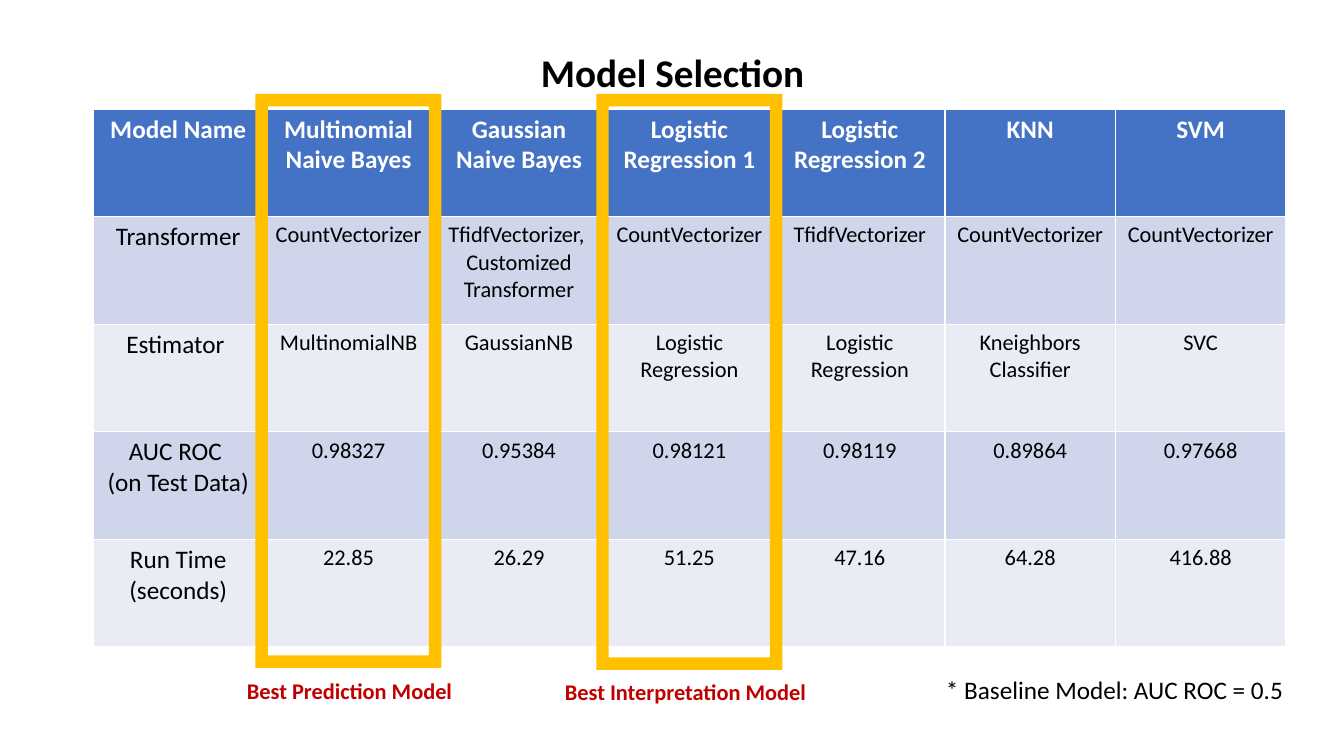
from pptx import Presentation
from pptx.dml.color import RGBColor
from pptx.enum.shapes import MSO_SHAPE
from pptx.enum.text import MSO_ANCHOR, MSO_AUTO_SIZE, PP_ALIGN
from pptx.util import Pt

TITLE = "Model Selection"
MODELS = [
    ["Model Name", "Multinomial Naive Bayes", "Gaussian Naive Bayes", "Logistic Regression 1",
     "Logistic Regression 2", "KNN", "SVM"],
    ["Transformer", "CountVectorizer", "TfidfVectorizer, \nCustomized Transformer",
     "CountVectorizer", "TfidfVectorizer", "CountVectorizer", "CountVectorizer"],
    ["Estimator ", "MultinomialNB", "GaussianNB", "Logistic\nRegression",
     "Logistic\nRegression", "Kneighbors\nClassifier", "SVC"],
    ["AUC ROC \n(on Test Data)", "0.98327", "0.95384", "0.98121", "0.98119", "0.89864", "0.97668"],
    ["Run Time\n(seconds)", "22.85", "26.29", "51.25", "47.16", "64.28", "416.88"],
]
# Highlighted column, frame height, caption, caption box
HIGHLIGHTS = [
    (1, 574, "Best Prediction Model", (237, 672, 243, 37)),
    (3, 576, "Best Interpretation Model", (555, 673, 267, 37)),
]
FOOTNOTE = ("* Baseline Model: AUC ROC = 0.5", (936, 669, 493, 40))

TITLE_BOX = (93, 31, 1159, 88)
TABLE_BOX = (93, 109, 1193, 538)
FRAME_TOP, FRAME_WIDTH, FRAME_OVERHANG, FRAME_THICKNESS = 94, 186, 8, 0.067

HEADER_FILL, BAND_FILLS = "4472C4", ("E9EBF5", "CFD5EA")
FRAME_FILL = "FFC000"
TITLE_FONT = {"size": 28, "bold": True, "color": "000000"}
HEADER_FONT = {"size": 18, "bold": True, "color": "FFFFFF"}
LABEL_FONT = {"size": 18, "bold": False, "color": "000000"}
VALUE_FONT = {"size": 16, "bold": False, "color": "000000"}
CAPTION_FONT = {"size": 16, "bold": True, "color": "C00000"}


def px(length):
    """Turn px at 100.8 to the inch into EMU."""
    return round(length * 914400 / 100.8)


def rgb(color):
    return RGBColor.from_string(color)


def write(text_frame, text, font_format, alignment):
    text_frame.text = text
    for paragraph in text_frame.paragraphs:
        paragraph.alignment = alignment
        font = paragraph.runs[0].font
        values = {"name": "Calibri", "size": Pt(font_format["size"]), "bold": font_format["bold"]}
        for name, value in values.items():
            setattr(font, name, value)
        font.color.rgb = rgb(font_format["color"])


def add_title(slide):
    title = slide.shapes.title
    for name, length in zip(("left", "top", "width", "height"), TITLE_BOX):
        setattr(title, name, px(length))
    write(title.text_frame, TITLE, TITLE_FONT, PP_ALIGN.CENTER)
    title.text_frame.vertical_anchor = MSO_ANCHOR.MIDDLE
    title.text_frame.paragraphs[0].line_spacing = 0.9


def add_model_table(slide):
    table = slide.shapes.add_table(len(MODELS), len(MODELS[0]), *map(px, TABLE_BOX)).table
    for row, texts in enumerate(MODELS):
        for column, text in enumerate(texts):
            cell = table.cell(row, column)
            cell.fill.solid()
            cell.fill.fore_color.rgb = rgb(BAND_FILLS[row % 2] if row else HEADER_FILL)
            font_format = HEADER_FONT if row == 0 else VALUE_FONT if column else LABEL_FONT
            write(cell.text_frame, text, font_format, PP_ALIGN.CENTER)


def add_note(slide, text, box, font_format):
    text_frame = slide.shapes.add_textbox(*map(px, box)).text_frame
    text_frame.word_wrap = True
    text_frame.auto_size = MSO_AUTO_SIZE.SHAPE_TO_FIT_TEXT
    write(text_frame, text, font_format, PP_ALIGN.LEFT)


def add_highlight_frame(slide, column, height):
    left = TABLE_BOX[0] + column * TABLE_BOX[2] / len(MODELS[0]) - FRAME_OVERHANG
    frame = slide.shapes.add_shape(
        MSO_SHAPE.FRAME, px(left), px(FRAME_TOP), px(FRAME_WIDTH), px(height))
    frame.adjustments[0] = FRAME_THICKNESS
    frame.shadow.inherit = False
    frame.fill.solid()
    frame.fill.fore_color.rgb = rgb(FRAME_FILL)
    frame.line.fill.background()


def main():
    presentation = Presentation()
    presentation.slide_width, presentation.slide_height = px(1344), px(756)
    slide = presentation.slides.add_slide(presentation.slide_layouts.get_by_name("Title Only"))
    add_title(slide)
    add_model_table(slide)
    add_note(slide, *FOOTNOTE, LABEL_FONT)
    for column, height, caption, caption_box in HIGHLIGHTS:
        add_highlight_frame(slide, column, height)
        add_note(slide, caption, caption_box, CAPTION_FONT)
    presentation.save("out.pptx")


if __name__ == "__main__":
    main()
